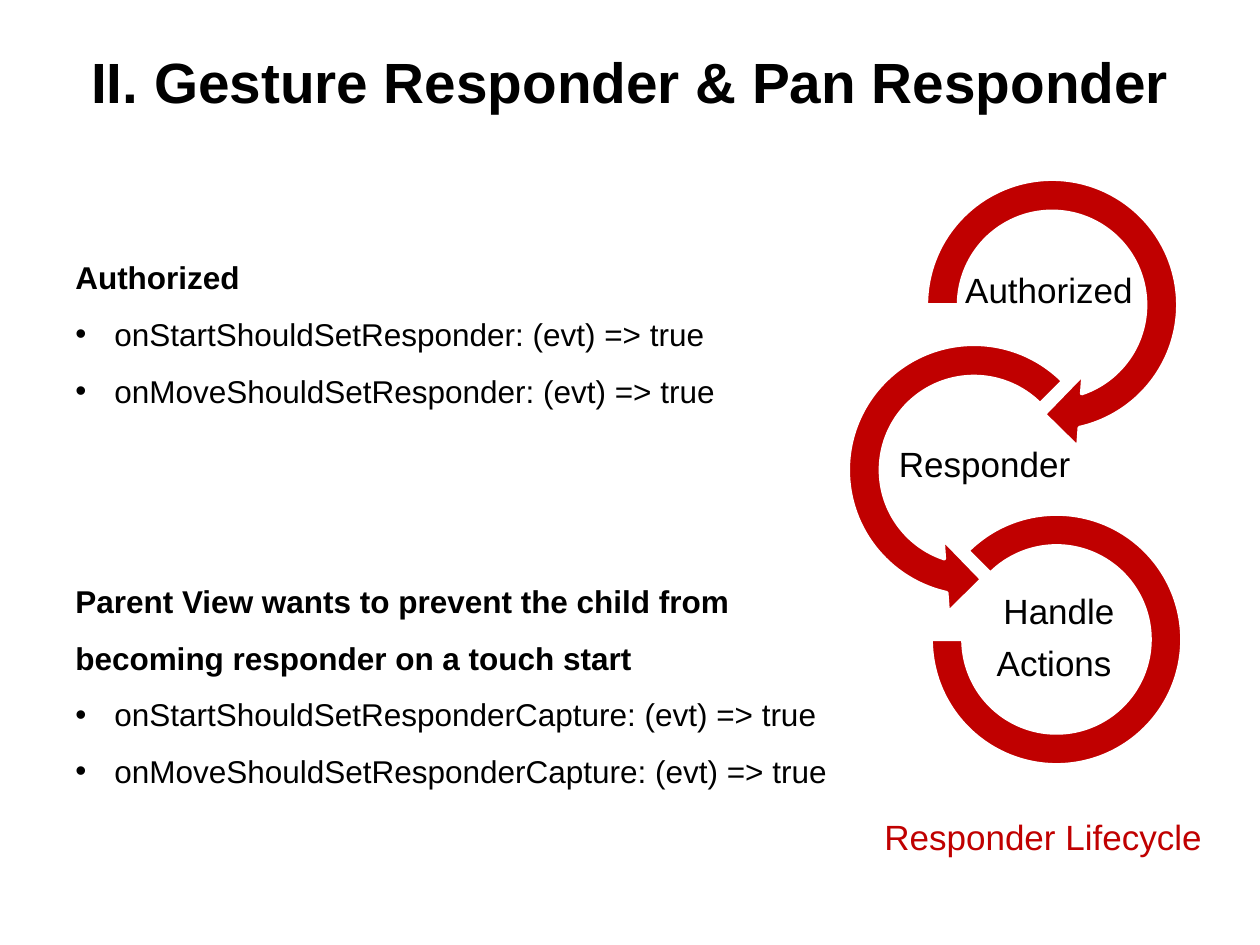
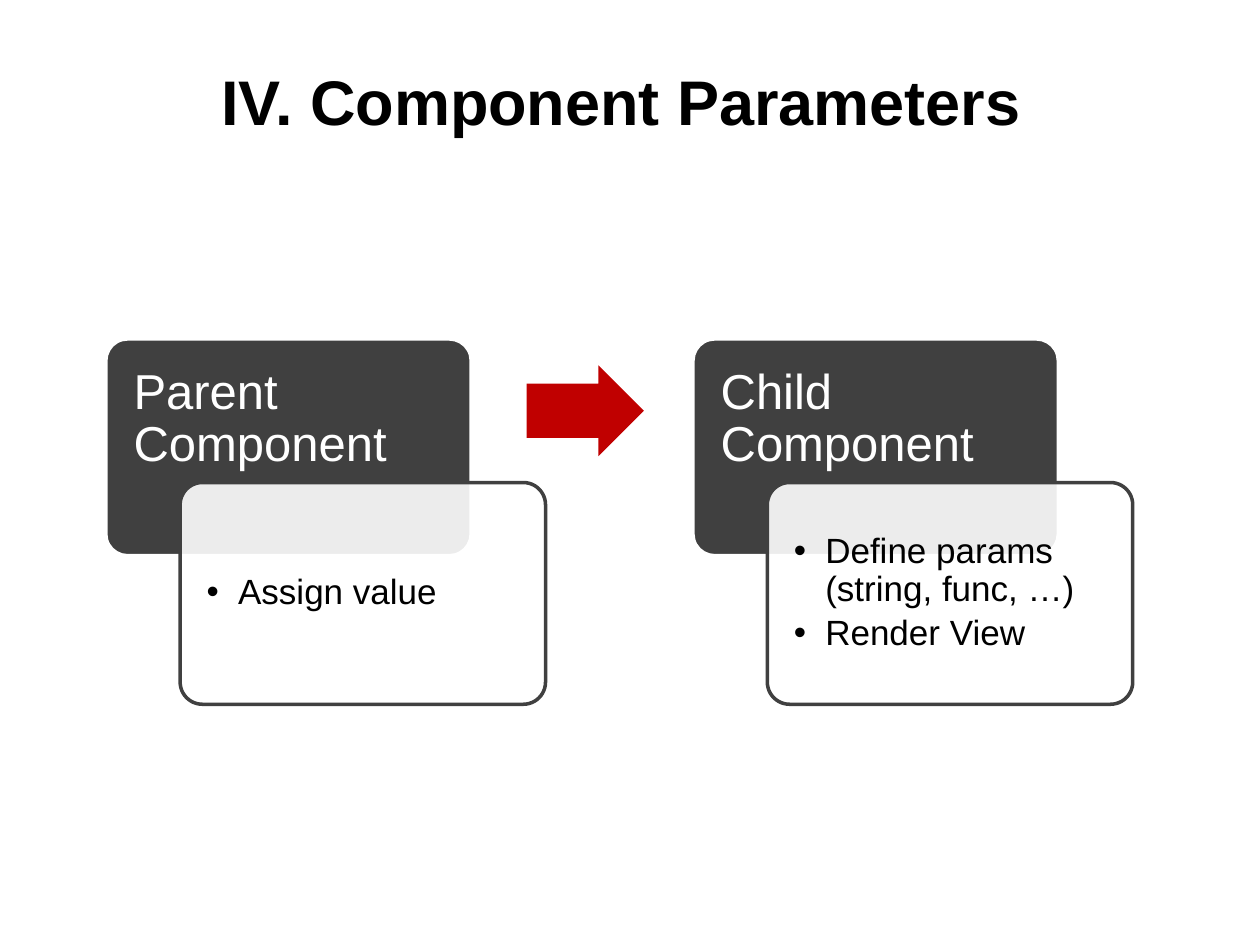
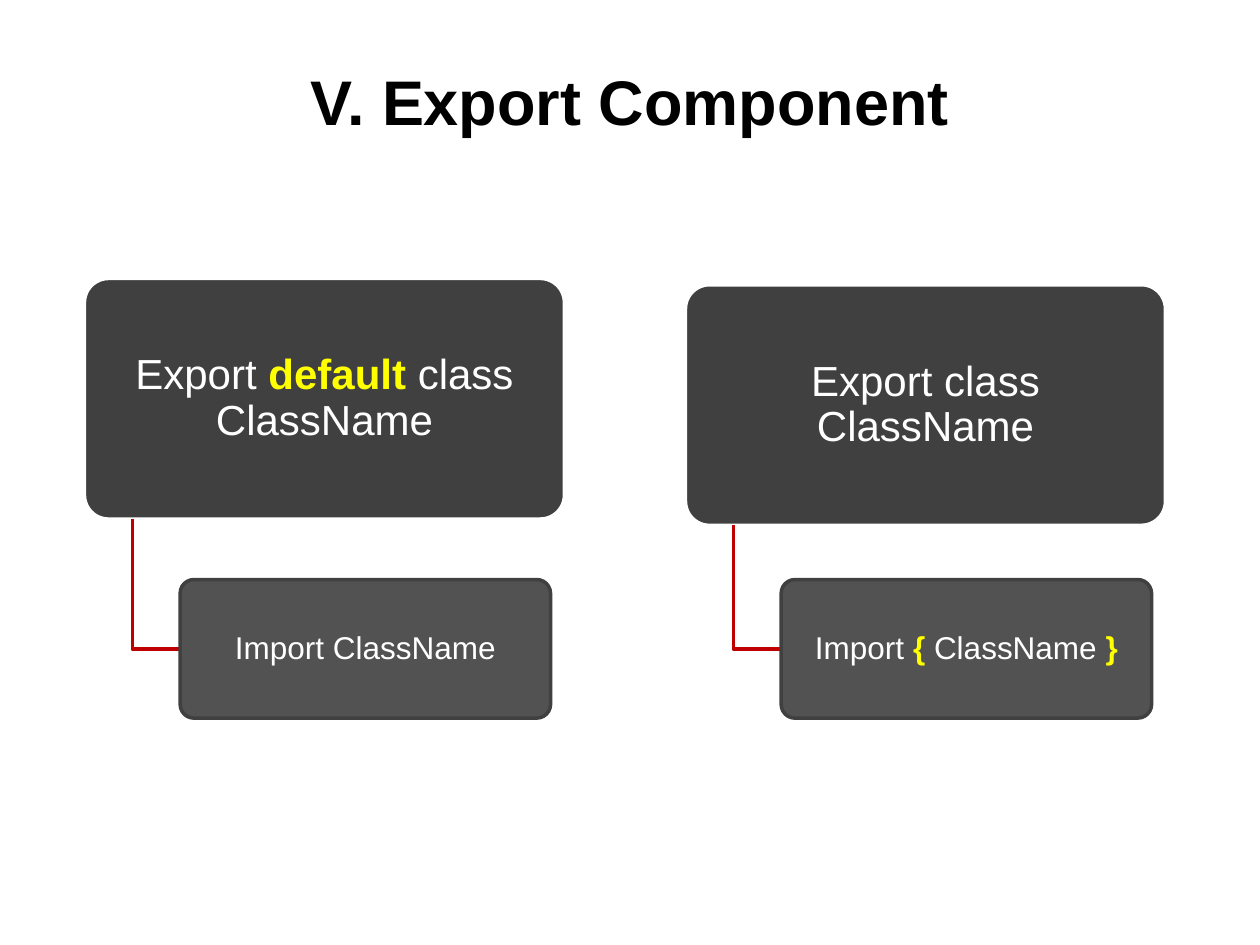
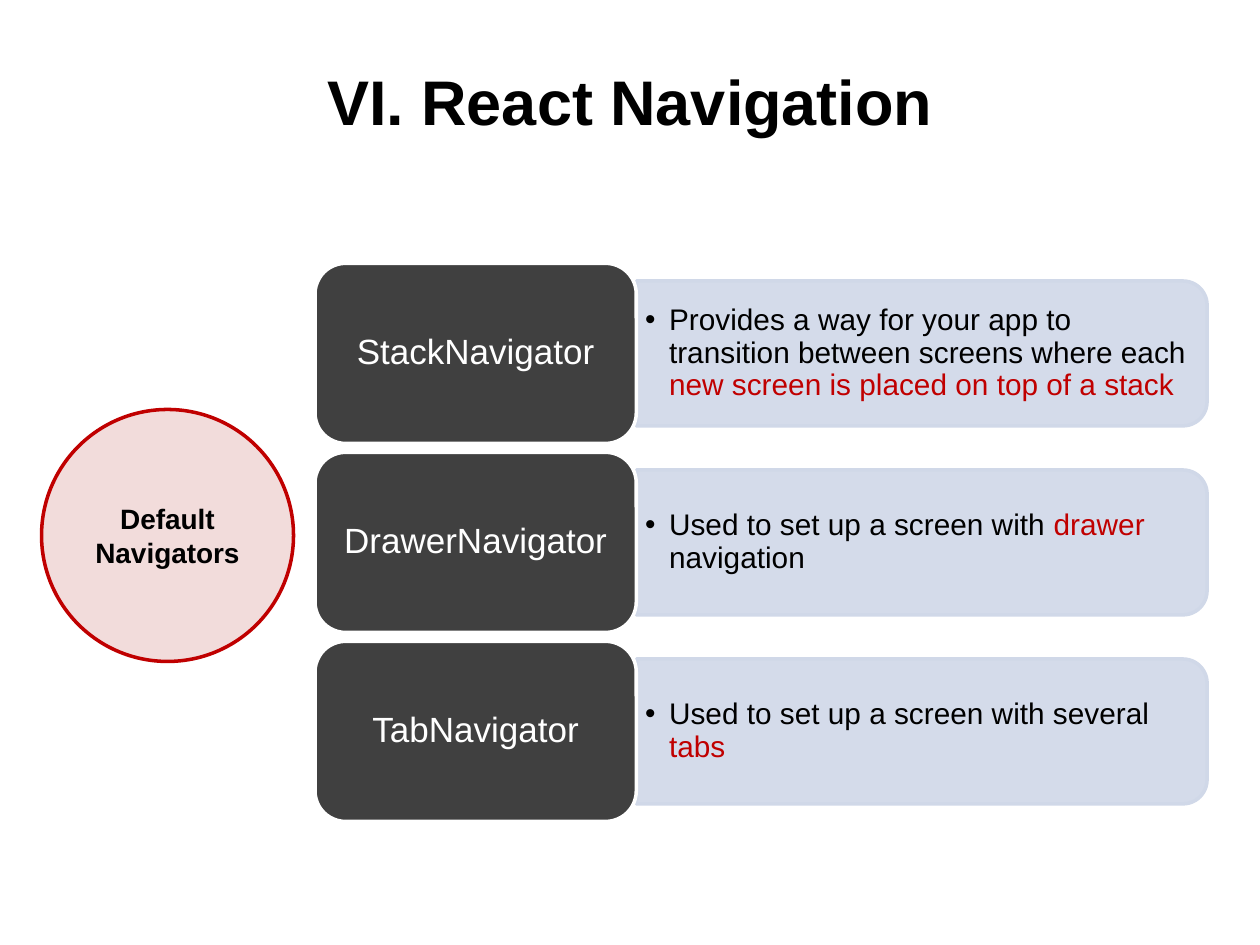
import dataclasses

import pptx
import pptx.dml.color
import pptx.enum.shapes
import pptx.enum.text
import pptx.oxml.ns
import pptx.util
from lxml import etree

Inches = pptx.util.Inches
Pt = pptx.util.Pt
Shapes = pptx.enum.shapes.MSO_SHAPE
Align = pptx.enum.text.PP_ALIGN
Anchor = pptx.enum.text.MSO_ANCHOR
AutoSize = pptx.enum.text.MSO_AUTO_SIZE
qn = pptx.oxml.ns.qn

FONT = "Arial"
BLACK, WHITE, DARK = "000000", "FFFFFF", "404040"
RED, PINK, YELLOW, PALE_BLUE = "C00000", "F2DCDB", "FFFF00", "D0D8E8"
LINE_WIDTH = 2


@dataclasses.dataclass
class Run:
    text: str
    color: str = BLACK
    bold: bool = False


@dataclasses.dataclass
class Paragraph:
    """Line spacing is a multiple, space after a share of the line height, indent in inches."""
    runs: list
    align: Align = Align.LEFT
    spacing: float = 1.0
    after: float = 0
    bullet_indent: float = 0


def rgb(color):
    return pptx.dml.color.RGBColor.from_string(color)


def label(*runs, align=Align.CENTER):
    return Paragraph(list(runs), align, 0.9, 0.35)


def diagram_bullet(indent, *runs):
    return Paragraph(list(runs), spacing=0.9, after=0.15, bullet_indent=indent)


def heading(text, spacing=1.5):
    return Paragraph([Run(text, bold=True)], spacing=spacing)


def body_bullet(text):
    return Paragraph([Run(text)], spacing=1.5, bullet_indent=0.31)


class Deck:
    def __init__(self):
        self.presentation = pptx.Presentation()
        self.presentation.slide_width = Inches(10)
        self.presentation.slide_height = Inches(7.5)
        self.slide = None

    def new_slide(self, title, top=0.17, size=36):
        layout = self.presentation.slide_layouts.get_by_name("Title Only")
        self.slide = self.presentation.slides.add_slide(layout)
        shape = self.slide.shapes.title
        shape.left, shape.top = Inches(0.5), Inches(top)
        shape.width, shape.height = Inches(9), Inches(1.25)
        shape.text_frame.vertical_anchor = Anchor.MIDDLE
        self.fill_frame(shape.text_frame, [Paragraph([Run(title, bold=True)], Align.CENTER)], size)

    def fill_frame(self, frame, paragraphs, size):
        for index, item in enumerate(paragraphs):
            paragraph = frame.add_paragraph() if index else frame.paragraphs[0]
            paragraph.alignment = item.align
            paragraph.line_spacing = item.spacing
            paragraph.space_after = Pt(item.after * size * 1.15)
            if item.bullet_indent:
                self.add_bullet(paragraph, item.bullet_indent)
            for part in item.runs:
                run = paragraph.add_run()
                run.text = part.text
                run.font.name = FONT
                run.font.size = Pt(size)
                run.font.bold = part.bold
                run.font.color.rgb = rgb(part.color)

    def add_bullet(self, paragraph, indent):
        properties = paragraph._p.get_or_add_pPr()
        properties.set("marL", str(Inches(indent)))
        properties.set("indent", str(-Inches(indent)))
        etree.SubElement(properties, qn("a:buFont")).set("typeface", FONT)
        etree.SubElement(properties, qn("a:buChar")).set("char", "•")

    def text(self, box, paragraphs, size, insets=(0, 0, 0, 0), anchor=Anchor.MIDDLE):
        shape = self.slide.shapes.add_textbox(*map(Inches, box))
        frame = shape.text_frame
        frame.word_wrap = True
        frame.vertical_anchor = anchor
        (frame.margin_left, frame.margin_top,
         frame.margin_right, frame.margin_bottom) = map(Inches, insets)
        self.fill_frame(frame, paragraphs, size)

    def free_text(self, box, paragraphs, size):
        """Text that does not wrap, in a box that grows with it."""
        shape = self.slide.shapes.add_textbox(*map(Inches, box))
        shape.text_frame.word_wrap = False
        shape.text_frame.auto_size = AutoSize.SHAPE_TO_FIT_TEXT
        self.fill_frame(shape.text_frame, paragraphs, size)

    def shape(self, kind, box, fill, line=None, adjustments=(), opacity=100, rotation=0):
        shape = self.slide.shapes.add_shape(kind, *map(Inches, box))
        shape.shadow.inherit = False
        shape.rotation = rotation
        for index, value in enumerate(adjustments):
            shape.adjustments[index] = value
        shape.fill.solid()
        shape.fill.fore_color.rgb = rgb(fill)
        if opacity < 100:
            color = shape.element.spPr.find(qn("a:solidFill")).find(qn("a:srgbClr"))
            etree.SubElement(color, qn("a:alpha")).set("val", str(opacity * 1000))
        self.outline(shape, line)
        return shape

    def outline(self, shape, color):
        if color:
            shape.line.color.rgb = rgb(color)
            shape.line.width = Pt(LINE_WIDTH)
        else:
            shape.line.fill.background()

    def card(self, box, inset, paragraphs, size, margins, fill=DARK, line=WHITE,
             opacity=100, corner=0.1):
        """Rounded rectangle with middle-anchored text set in from its edges."""
        left, top, width, height = box
        self.shape(Shapes.ROUNDED_RECTANGLE, box, fill, line, [corner], opacity)
        self.text((left + inset, top + inset, width - 2 * inset, height - 2 * inset),
                  paragraphs, size, margins)

    def elbow(self, left, top, right, bottom):
        builder = self.slide.shapes.build_freeform(Inches(left), Inches(top))
        builder.add_line_segments(
            [(Inches(left), Inches(bottom)), (Inches(right), Inches(bottom))], close=False)
        shape = builder.convert_to_shape()
        shape.shadow.inherit = False
        shape.fill.background()
        self.outline(shape, RED)


def gesture_responder(deck):
    deck.new_slide("II. Gesture Responder & Pan Responder", top=0.02, size=32.4)
    deck.free_text((6.92, 6.42, 2.74, 0.44),
                   [Paragraph([Run("Responder Lifecycle", RED)])], 20)
    stages = [
        (Shapes.CIRCULAR_ARROW, (7.19, 1.26, 2.32, 2.32), (0.11, 11.423, 45, 108, 0.125),
         (7.58, 2, 1.49, 0.64), ["Authorized"]),
        (Shapes.LEFT_CIRCULAR_ARROW, (6.57, 2.57, 2.32, 2.32), (0.11, 11.423, 63, 189, 0.125),
         (7.08, 3.38, 1.47, 0.64), ["Responder"]),
        (Shapes.BLOCK_ARC, (7.39, 4.08, 1.99, 1.99), (135, 108, 0.127),
         (7.76, 4.75, 1.29, 0.64), ["Handle", "Actions "]),
    ]
    for kind, ring_box, adjustments, text_box, lines in stages:
        deck.shape(kind, ring_box, RED, WHITE, adjustments)
        deck.text(text_box, [label(Run(line)) for line in lines], 20, (0.01,) * 4)
    deck.free_text((0.5, 2, 5.33, 1.35), [
        heading("Authorized", spacing=1.0),
        body_bullet("onStartShouldSetResponder: (evt) => true"),
        body_bullet("onMoveShouldSetResponder: (evt) => true"),
    ], 18)
    deck.free_text((0.5, 4.42, 6.23, 1.86), [
        heading("Parent View wants to prevent the child from"),
        heading("becoming responder on a touch start"),
        body_bullet("onStartShouldSetResponderCapture: (evt) => true"),
        body_bullet("onMoveShouldSetResponderCapture: (evt) => true"),
    ], 18)


def component_parameters(deck):
    deck.new_slide("IV. Component Parameters ")
    components = [
        (0.84, "Parent Component", ["Assign value"]),
        (5.5, "Child Component", ["Define params (string, func, …)", "Render View"]),
    ]
    for left, name, tasks in components:
        deck.shape(Shapes.ROUNDED_RECTANGLE, (left, 2.69, 2.9, 1.72), DARK, WHITE, [0.1])
        deck.text((left, 2.69, 2.9, 1.14), [label(Run(name, WHITE), align=Align.LEFT)], 28,
                  (0.22, 0.22, 0.22, 0.12), Anchor.TOP)
        deck.card((left + 0.59, 3.83, 2.9, 1.76), 0.05,
                  [diagram_bullet(0.25, Run(task)) for task in tasks], 20,
                  (0.16,) * 4, WHITE, DARK, opacity=90)
    deck.shape(Shapes.RIGHT_ARROW, (4.18, 2.9, 0.93, 0.72), RED, adjustments=(0.6, 0.5))


def export_component(deck):
    deck.new_slide("V. Export Component")
    columns = [
        (0.67, 2.21,
         [Run("Export ", WHITE), Run("default", YELLOW, True), Run(" class ClassName", WHITE)],
         [Run("Import ClassName", WHITE)]),
        (5.44, 2.26,
         [Run("Export class ClassName", WHITE)],
         [Run("Import ", WHITE), Run("{ ", YELLOW, True),
          Run("ClassName ", WHITE), Run("}", YELLOW, True)]),
    ]
    for left, top, export_runs, import_runs in columns:
        deck.card((left, top, 3.81, 1.91), 0.05, [label(*export_runs)], 24,
                  (0.05, 0.03, 0.05, 0.03))
        deck.elbow(left + 0.38, top + 1.91, left + 0.76, 5.15)
        deck.card((left + 0.76, 4.6, 2.94, 1.1), 0.03, [label(*import_runs)], 18,
                  (0.04, 0.03, 0.04, 0.03), line=DARK, opacity=90)


def react_navigation(deck):
    deck.new_slide("VI. React Navigation")
    circle = deck.shape(Shapes.OVAL, (0.33, 3.25, 2, 2), PINK, RED)
    circle.text_frame.vertical_anchor = Anchor.MIDDLE
    deck.fill_frame(circle.text_frame,
                    [Paragraph([Run("Default Navigators", bold=True)], Align.CENTER)], 16)
    navigators = [
        ("StackNavigator",
         [Run("Provides a way for your app to transition between screens where each "),
          Run("new screen is placed on top of a stack", RED)]),
        ("DrawerNavigator",
         [Run("Used to set up a screen with "), Run("drawer", RED), Run(" navigation")]),
        ("TabNavigator",
         [Run("Used to set up a screen with several "), Run("tabs", RED)]),
    ]
    for row, (name, description) in enumerate(navigators):
        top = 2.09 + 1.5 * row
        deck.shape(Shapes.ROUND_2_SAME_RECTANGLE, (6.74, top - 1.55, 1.15, 4.53),
                   PALE_BLUE, PALE_BLUE, opacity=90, rotation=90)
        deck.text((5.05, top + 0.2, 4.48, 1.03), [diagram_bullet(0.19, *description)], 17,
                  (0.07, 0.04, 0.07, 0.04))
        deck.card((2.5, top, 2.55, 1.43), 0.07, [label(Run(name, WHITE))], 20,
                  (0.08, 0.04, 0.08, 0.04), corner=0.17)


def main():
    deck = Deck()
    gesture_responder(deck)
    component_parameters(deck)
    export_component(deck)
    react_navigation(deck)
    deck.presentation.save("out.pptx")


if __name__ == "__main__":
    main()
